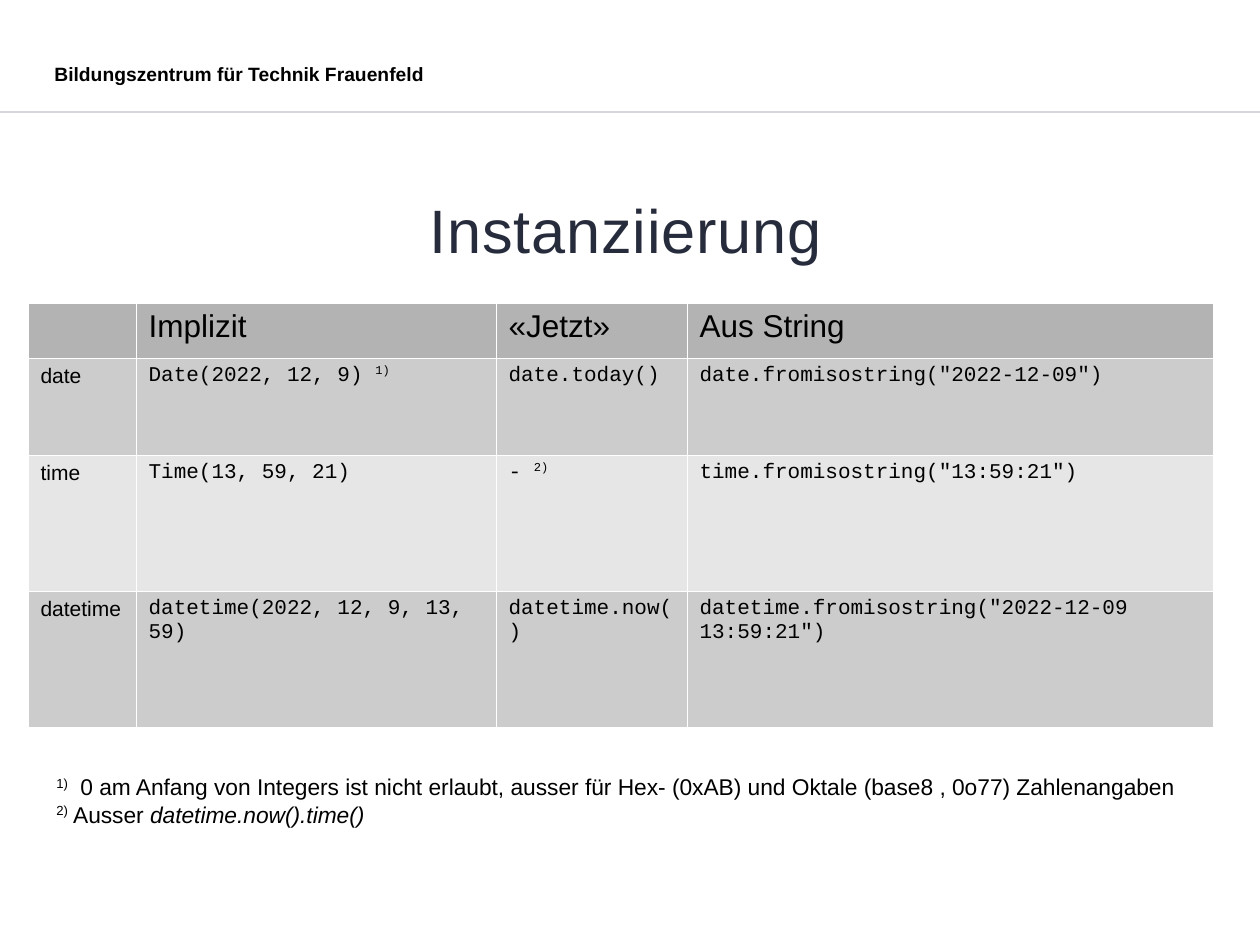
from dataclasses import dataclass

import pptx
import pptx.util
from lxml import etree
from pptx.dml.color import RGBColor
from pptx.enum.shapes import MSO_CONNECTOR
from pptx.enum.text import MSO_ANCHOR, MSO_AUTO_SIZE, PP_ALIGN
from pptx.oxml.ns import qn

EMU_PER_PX = 914400 / 126


@dataclass(frozen=True)
class Theme:
    sans: str = "Arial"
    mono: str = "Courier New"
    ink: str = "000000"
    navy: str = "272C3D"
    grid: str = "FFFFFF"
    head_fill: str = "B3B3B3"
    row_fills: tuple[str, ...] = ("CCCCCC", "E6E6E6")
    title_size: int = 35
    head_size: int = 18
    note_size: int = 13
    code_size: int = 12
    brand_size: int = 11


THEME = Theme()


@dataclass(frozen=True)
class Span:
    text: str
    size: int
    font: str = THEME.sans
    color: str = THEME.ink
    bold: bool = False
    italic: bool = False
    raised: bool = False
    spacing: int = 0


@dataclass(frozen=True)
class Constructor:
    kind: str
    implicit: str
    now: str
    from_string: str
    implicit_mark: str = ""
    now_mark: str = ""


def px(length: int) -> pptx.util.Emu:
    return pptx.util.Emu(round(length * EMU_PER_PX))


def add_spans(paragraph, spans: list[Span]) -> None:
    for span in spans:
        run = paragraph.add_run()
        run.text = span.text
        run.font.size = pptx.util.Pt(span.size)
        run.font.name = span.font
        run.font.color.rgb = RGBColor.from_string(span.color)
        run.font.bold = span.bold
        run.font.italic = span.italic
        properties = run._r.get_or_add_rPr()
        if span.raised:
            properties.set("baseline", "33000")
        if span.spacing:
            properties.set("spc", str(span.spacing))


def add_box(slide, left: int, top: int, width: int, height: int):
    frame = slide.shapes.add_textbox(px(left), px(top), px(width), px(height)).text_frame
    frame.word_wrap = True
    return frame


def add_tab_stop(paragraph, position: int) -> None:
    tabs = etree.SubElement(paragraph._p.get_or_add_pPr(), qn("a:tabLst"))
    etree.SubElement(tabs, qn("a:tab"), pos=str(px(position)), algn="l")


def style_cell(cell, fill: str) -> None:
    properties = cell._tc.get_or_add_tcPr()
    for side in ("lnL", "lnR", "lnT", "lnB"):
        border = etree.SubElement(properties, qn(f"a:{side}"), w=str(pptx.util.Pt(0.06)))
        solid = etree.SubElement(border, qn("a:solidFill"))
        etree.SubElement(solid, qn("a:srgbClr"), val=THEME.grid)
    cell.fill.solid()
    cell.fill.fore_color.rgb = RGBColor.from_string(fill)


def code_spans(code: str, mark: str = "") -> list[Span]:
    spans = [Span(code, THEME.code_size, THEME.mono)]
    if mark:
        spans.append(Span(mark, THEME.code_size, THEME.mono, raised=True))
    return spans


def add_header(slide) -> None:
    school = add_box(slide, 42, 55, 518, 40).paragraphs[0]
    school.line_spacing = pptx.util.Pt(14)
    add_spans(school, [Span("Bildungszentrum für Technik Frauenfeld", THEME.brand_size, bold=True)])

    rule = slide.shapes.add_connector(MSO_CONNECTOR.STRAIGHT, 0, px(112), px(1260), px(112))
    rule.line.width = pptx.util.Pt(1)
    rule.line.color.rgb = RGBColor.from_string(THEME.navy)
    color = rule.line._ln.find(f".//{qn('a:srgbClr')}")
    etree.SubElement(color, qn("a:alpha"), val="19000")
    etree.SubElement(rule._element.spPr, qn("a:effectLst"))


def set_title(slide) -> None:
    title = slide.shapes.title
    title.left, title.top, title.width, title.height = px(48), px(202), px(1156), px(69)
    frame = title.text_frame
    frame.auto_size = MSO_AUTO_SIZE.NONE
    frame.vertical_anchor = MSO_ANCHOR.TOP
    heading = frame.paragraphs[0]
    heading.alignment = PP_ALIGN.CENTER
    heading.line_spacing = pptx.util.Pt(33)
    add_spans(heading, [Span("Instanziierung", THEME.title_size, color=THEME.navy, spacing=50)])


def add_constructor_table(slide, headings: list[str], constructors: list[Constructor]) -> None:
    widths, heights = (108, 360, 191, 526), (55, 97, 136, 136)
    table = slide.shapes.add_table(
        len(heights), len(widths), px(28), px(303), px(sum(widths)), px(sum(heights))
    ).table
    for column, width in zip(table.columns, widths):
        column.width = px(width)
    for row, height in zip(table.rows, heights):
        row.height = px(height)

    rows = [[[Span(text, THEME.head_size)] if text else [] for text in headings]]
    for entry in constructors:
        rows.append([
            [Span(entry.kind, THEME.code_size)],
            code_spans(entry.implicit, entry.implicit_mark),
            code_spans(entry.now, entry.now_mark),
            code_spans(entry.from_string),
        ])
    for r, row_spans in enumerate(rows):
        fill = THEME.row_fills[(r - 1) % 2] if r else THEME.head_fill
        for c, spans in enumerate(row_spans):
            cell = table.cell(r, c)
            style_cell(cell, fill)
            add_spans(cell.text_frame.paragraphs[0], spans)


def add_footnotes(slide) -> None:
    size = THEME.note_size
    frame = add_box(slide, 44, 767, 1160, 88)
    integers = frame.paragraphs[0]
    add_tab_stop(integers, 24)
    add_spans(integers, [
        Span("1)", size, raised=True),
        Span("\t0 am Anfang von Integers ist nicht erlaubt, ausser für Hex- (0xAB) "
             "und Oktale (base8 , 0o77) Zahlenangaben", size),
    ])
    add_spans(frame.add_paragraph(), [
        Span("2)", size, raised=True),
        Span(" Ausser ", size),
        Span("datetime.now().time()", size, italic=True),
    ])


def main() -> None:
    deck = pptx.Presentation()
    deck.slide_width, deck.slide_height = px(1260), px(945)
    slide = deck.slides.add_slide(deck.slide_layouts[5])

    # Heading area
    set_title(slide)
    add_header(slide)

    # Ways to create each type
    add_constructor_table(slide, ["", "Implizit", "«Jetzt»", "Aus String"], [
        Constructor("date", "Date(2022, 12, 9) ", "date.today()",
                    'date.fromisostring("2022-12-09")', implicit_mark="1)"),
        Constructor("time", "Time(13, 59, 21)", "- ",
                    'time.fromisostring("13:59:21")', now_mark="2)"),
        Constructor("datetime", "datetime(2022, 12, 9, 13, 59)", "datetime.now()",
                    'datetime.fromisostring("2022-12-09 13:59:21")'),
    ])

    # Notes below the table
    add_footnotes(slide)
    deck.save("out.pptx")


if __name__ == "__main__":
    main()
